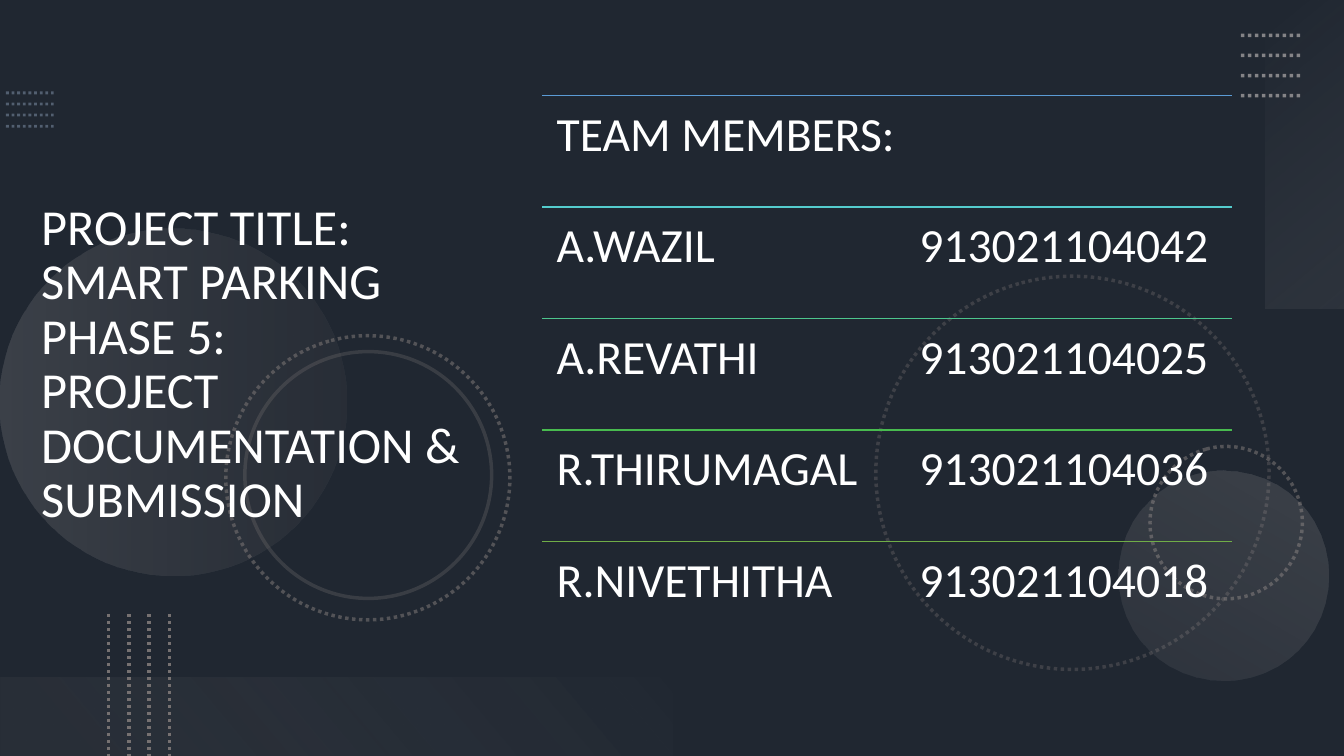
from pptx import Presentation
from pptx.dml.color import RGBColor
from pptx.enum.dml import MSO_LINE
from pptx.enum.shapes import MSO_CONNECTOR, MSO_SHAPE
from pptx.enum.text import MSO_ANCHOR
from pptx.oxml.ns import qn
from pptx.util import Cm, Pt
from lxml.etree import SubElement

BASE = RGBColor(0x44, 0x54, 0x6A)
BLACK = RGBColor(0, 0, 0)
WHITE = RGBColor(0xFF, 0xFF, 0xFF)
STEEL = RGBColor(0x84, 0x97, 0xB0)
GRAY = RGBColor(0x76, 0x71, 0x71)
SILVER = RGBColor(0xAF, 0xAB, 0xAB)
PALE = RGBColor(0xF5, 0xF5, 0xF5)
MIST = RGBColor(0xF1, 0xF0, 0xF0)
BLUE = RGBColor(0x5B, 0x9B, 0xD5)
TEAL = RGBColor(0x54, 0xCC, 0xCD)
MINT = RGBColor(0x4D, 0xC5, 0x8D)
GREEN = RGBColor(0x48, 0xBB, 0x4F)
OLIVE = RGBColor(0x70, 0xAD, 0x47)

WIDE, HIGH = 33.87, 19.05
DOTS = MSO_LINE.ROUND_DOT
TITLE = ("PROJECT TITLE:\vSMART PARKING\vPHASE 5:\v"
         "PROJECT DOCUMENTATION & SUBMISSION")
TEAM = [
    ("TEAM MEMBERS:", BLUE),
    ("A.WAZIL\t913021104042", TEAL),
    ("A.REVATHI\t913021104025", MINT),
    ("R.THIRUMAGAL\t913021104036", GREEN),
    ("R.NIVETHITHA\t913021104018", OLIVE),
]


def apply(item, style):
    """Set each attribute named in the style."""
    for name, value in style.items():
        setattr(item, name, value)


def fade(fill, alpha):
    """Give every colour inside a fill element its opacity in percent."""
    for color, part in zip(list(fill.iter(qn("a:srgbClr"))), alpha):
        SubElement(color, qn("a:alpha"), val=str(part * 1000))


def stroke(line, color, width, dash=None, alpha=100):
    """Colour a line and set its width, dash and opacity."""
    line.color.rgb = color
    apply(line, {"width": Pt(width), "dash_style": dash})
    if alpha < 100:
        fade(line.fill._xPr, [alpha])


def add_line(slide, ends, *style):
    """Draw a straight line between two points, without shadow."""
    rule = slide.shapes.add_connector(
        MSO_CONNECTOR.STRAIGHT, *[Cm(end) for end in ends])
    stroke(rule.line, *style)
    SubElement(rule._element.spPr, qn("a:effectLst"))


def add_form(slide, kind, box, turn=0):
    """Add a flat preset shape with neither fill nor line."""
    form = slide.shapes.add_shape(kind, *[Cm(side) for side in box])
    form.rotation = turn
    form.shadow.inherit = False
    form.fill.background()
    form.line.fill.background()
    return form


def shade(form, stops, angle):
    """Fill a shape with a see-through gradient of two stops."""
    form.fill.gradient()
    form.fill.gradient_angle = 360 - angle
    for stop, (place, color, _) in zip(form.fill.gradient_stops, stops):
        stop.color.rgb = color
        stop.position = place
    fade(form._element.spPr.find(qn("a:gradFill")), [stop[2] for stop in stops])


def add_text(slide, box, text, size, inset, anchor):
    """Add a white text box and return its paragraph."""
    frame = slide.shapes.add_textbox(*[Cm(side) for side in box]).text_frame
    apply(frame, {"word_wrap": True, "vertical_anchor": anchor})
    sides = ("left", "top", "right", "bottom")
    apply(frame, {"margin_" + side: Cm(gap) for side, gap in zip(sides, inset)})
    para = frame.paragraphs[0]
    para.text = text
    para.line_spacing = 0.9
    for run in para.runs:
        apply(run.font, {"name": "Calibri", "size": Pt(size)})
        run.font.color.rgb = WHITE
    return para


def dot_grid(slide, box, upright, *style):
    """Place four evenly spaced dotted lines across the box."""
    left, top, width, height = box
    for step in range(4):
        if upright:
            side = left + width * step / 3
            ends = side, top, side, top + height
        else:
            level = top + height * step / 3
            ends = left, level, left + width, level
        add_line(slide, ends, *style)


def ring(slide, left, top, size, dash, alpha):
    """Draw an open circle."""
    form = add_form(slide, MSO_SHAPE.OVAL, (left, top, size, size), 75)
    stroke(form.line, GRAY, 2.5, dash, alpha)


def disc(slide, left, top, size, turn, stops):
    """Draw a filled circle."""
    form = add_form(slide, MSO_SHAPE.OVAL, (left, top, size, size), turn)
    shade(form, stops, 90)


def backdrop(slide, box):
    """Lay the dark base, circles, bands and dot grids in the box."""
    left, top, width, height = box
    slide.background.fill.solid()
    slide.background.fill.fore_color.rgb = BASE
    veil = add_form(slide, MSO_SHAPE.RECTANGLE, box)
    veil.fill.solid()
    veil.fill.fore_color.rgb = BLACK
    fade(veil._element.spPr.find(qn("a:solidFill")), [53])

    dot_grid(slide, (left + 0.15, top + 2.34, 1.2, 0.84), False,
             STEEL, 2, DOTS, 50)
    ring(slide, left + 22.07, top + 6.96, 9.91, DOTS, 35)
    ring(slide, left + 28.98, top + 11.25, 3.84, DOTS, 60)
    disc(slide, left, top + 5.77, 8.74, 270,
         [(0, SILVER, 20), (1, GRAY, 10)])
    disc(slide, left + 28.19, top + 11.86, 5.28, 210,
         [(0, SILVER, 10), (1, SILVER, 20)])
    ring(slide, left + 5.69, top + 8.46, 7.16, DOTS, 60)
    ring(slide, left + 6.17, top + 8.86, 6.22, None, 30)

    band = add_form(slide, MSO_SHAPE.RECTANGLE,
                    (left + 29.01, top + 2.9, 7.77, 1.98), 270)
    shade(band, [(0, PALE, 0), (1, SILVER, 10)], 140)
    dot_grid(slide, (left + 31.27, top + 0.89, 1.52, 1.52), False,
             SILVER, 2.5, DOTS, 70)
    band = add_form(slide, MSO_SHAPE.RECTANGLE,
                    (left, top + height - 1.98, width / 2, 1.98), 180)
    shade(band, [(0.1, GRAY, 10), (1, MIST, 0)], 140)
    dot_grid(slide, (left + 2.74, top + height - 3.58, 1.53, 3.58), True,
             GRAY, 2.5, DOTS)


def heading(slide, box):
    """Write the project title in the box."""
    add_text(slide, box, TITLE, 36, (0.25, 0.13, 0.25, 0.13),
             MSO_ANCHOR.MIDDLE)


def team_list(slide, box):
    """Stack the team rows in the box, each below a coloured rule."""
    left, top, width, height = box
    tall = height / len(TEAM)
    for row, (text, color) in enumerate(TEAM):
        level = top + row * tall
        add_line(slide, (left, level, left + width, level), color, 1)
        para = add_text(slide, (left, level, width, tall), text, 34,
                        (0.36,) * 4, MSO_ANCHOR.TOP)
        tabs = SubElement(para._p.get_or_add_pPr(), qn("a:tabLst"))
        SubElement(tabs, qn("a:tab"), pos=str(Cm(9.14)), algn="l")


def main():
    """Build and save the slide."""
    deck = Presentation()
    apply(deck, {"slide_width": Cm(WIDE), "slide_height": Cm(HIGH)})
    slide = deck.slides.add_slide(deck.slide_layouts[6])
    backdrop(slide, (0, 0, WIDE, HIGH))
    heading(slide, (0.79, 1.37, 12.62, 15.67))
    team_list(slide, (13.67, 2.41, 17.37, 14.05))
    deck.save("out.pptx")


main()
